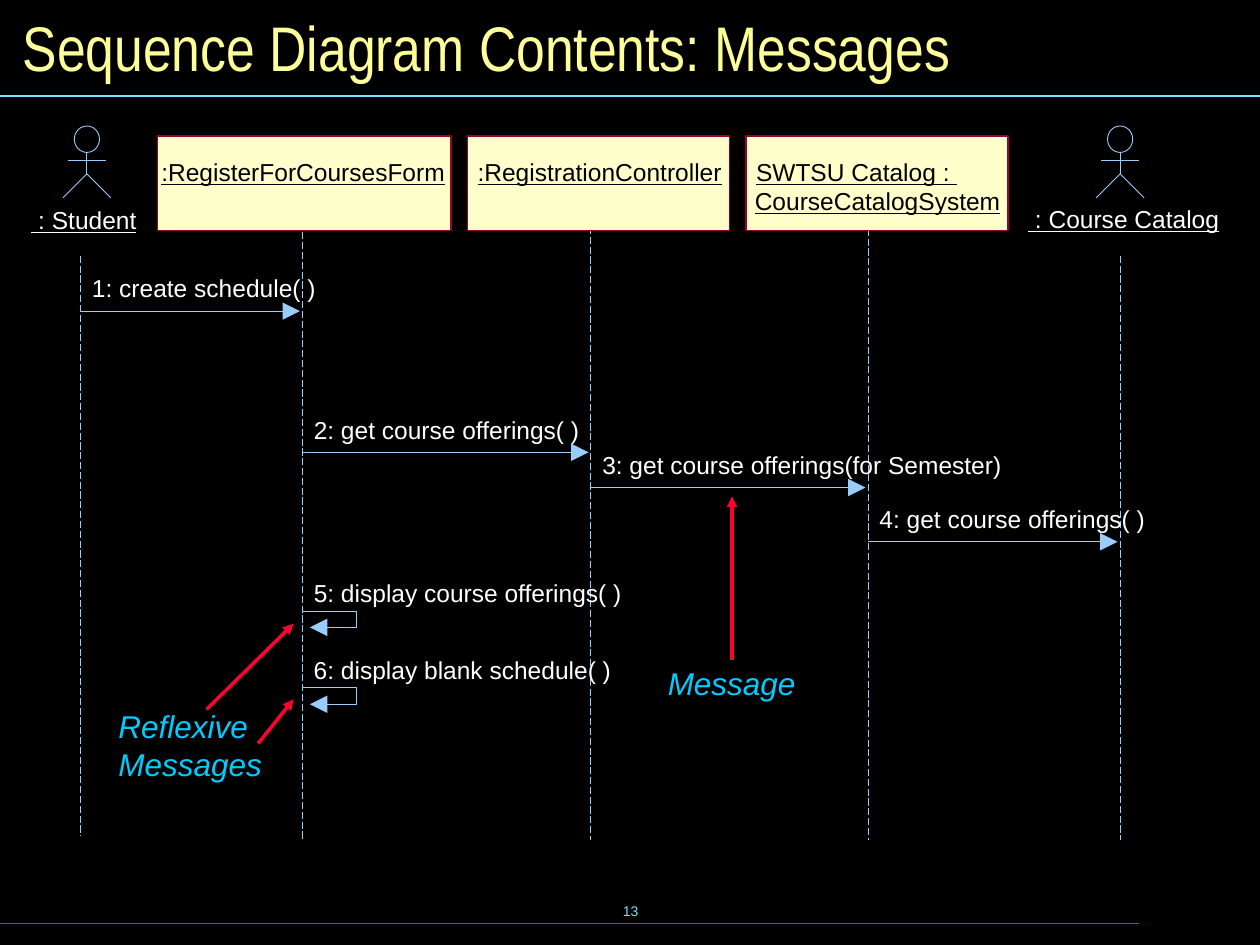
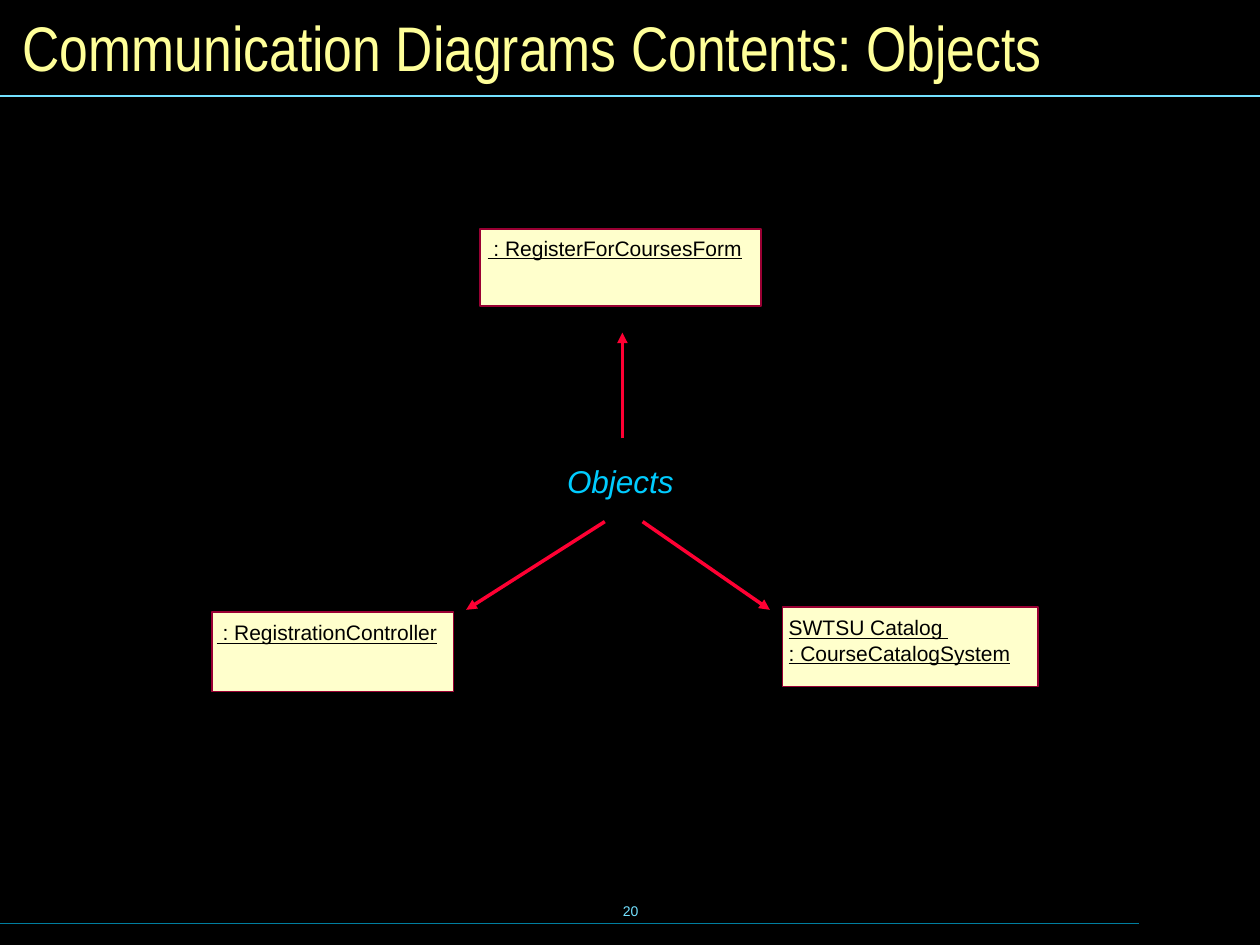
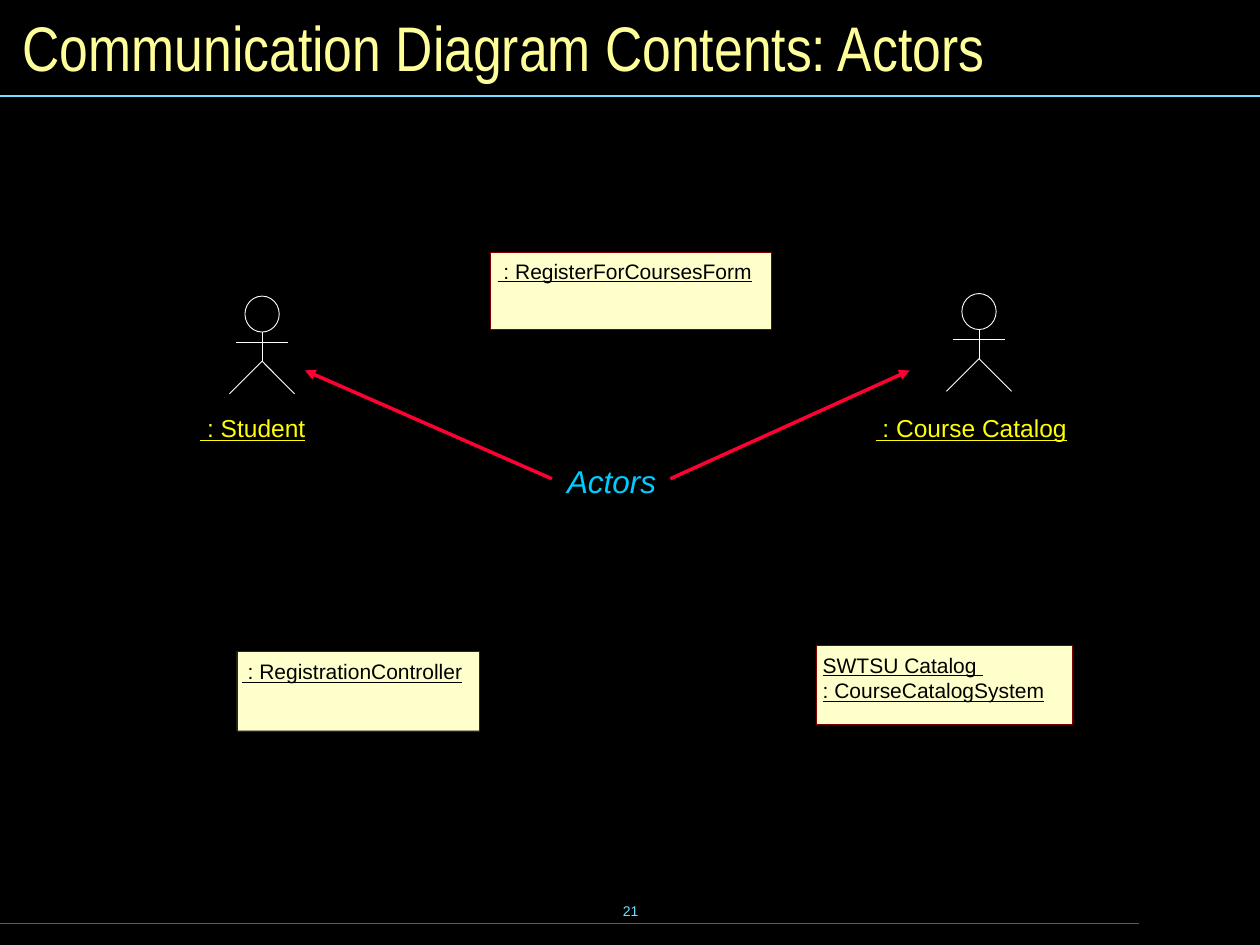
"""Build three UML slides: sequence messages, communication objects and actors."""
import pptx
import pptx.dml.color
import pptx.enum.dml
import pptx.enum.shapes
import pptx.enum.text
import pptx.oxml
import pptx.oxml.ns
import pptx.util

Inches = pptx.util.Inches
Pt = pptx.util.Pt
RGBColor = pptx.dml.color.RGBColor
Align = pptx.enum.text.PP_ALIGN
Anchor = pptx.enum.text.MSO_ANCHOR
Preset = pptx.enum.shapes.MSO_SHAPE
STRAIGHT = pptx.enum.shapes.MSO_CONNECTOR.STRAIGHT

BLACK = RGBColor(0x00, 0x00, 0x00)
WHITE = RGBColor(0xFF, 0xFF, 0xFF)
TITLE_YELLOW = RGBColor(0xFF, 0xFF, 0x99)
NAME_YELLOW = RGBColor(0xFF, 0xFF, 0x00)
RULE_CYAN = RGBColor(0x73, 0xE1, 0xFF)
RULE_TEAL = RGBColor(0x00, 0x7E, 0x9F)
DIAGRAM_BLUE = RGBColor(0x99, 0xCC, 0xFF)
CALLOUT_CYAN = RGBColor(0x00, 0xCC, 0xFF)
ARROW_RED = RGBColor(0xFF, 0x00, 0x33)
BOX_CREAM = RGBColor(0xFF, 0xFF, 0xCC)
BOX_CRIMSON = RGBColor(0x99, 0x00, 0x33)
BOX_MAROON = RGBColor(0x80, 0x00, 0x00)

LIFELINES = [(0.64, 2.03, 6.63), (2.4, 1.61, 6.67), (4.69, 1.49, 6.67),
             (6.89, 1.66, 6.67), (8.89, 2.03, 6.67)]
HEADERS = [(1.25, 2.33), (3.71, 2.08), (5.92, 2.08)]
HEADER_NAMES = [
    (":RegisterForCoursesForm", 1.28, 1.25, 2.25),
    (":RegistrationController", 3.79, 1.25, 1.94),
    ("SWTSU Catalog : ", 6, 1.25, 2.08),
    ("CourseCatalogSystem", 5.99, 1.48, 1.95),
]
MESSAGES = [
    ("1: create schedule( )", 0, 2.47, 1.78),
    ("2: get course offerings( )", 1, 3.59, 2.11),
    ("3: get course offerings(for Semester)", 2, 3.87, 3.18),
    ("4: get course offerings( )", 3, 4.3, 2.11),
]
REFLEXIVE_MESSAGES = [
    ("5: display course offerings( )", 4.85, 2.45),
    ("6: display blank schedule( )", 5.46, 2.36),
]
SEQUENCE_ACTORS = [(0.69, 1, 0.25, 1.63), (8.89, 1, 8.16, 1.62)]
SEQUENCE_CALLOUTS = [("Reflexive\nMessages", 0.82, 5.55, 1.38, 0.72),
                     ("Message", 5.18, 5.21, 1.25, 0.42)]
SEQUENCE_ARROWS = [(5.81, 5.24, 5.81, 3.94), (1.64, 5.63, 2.33, 4.95),
                   (2.05, 5.9, 2.33, 5.55)]

ACTOR_NAMES = [(" : Student", 0.84), (" : Course Catalog", 1.52)]
OBJECTS = [
    {"name": " : RegisterForCoursesForm", "size": (2.23, 0.61), "inset": (0.06, 0.05), "text": 2.02},
    {"name": " : RegistrationController", "size": (1.92, 0.63), "inset": (0.04, 0.06), "text": 1.75},
    {"name": "SWTSU Catalog \n: CourseCatalogSystem", "size": (2.03, 0.63), "inset": (0.05, 0.06), "text": 1.76},
]
COMMUNICATION_SLIDES = [
    {"title": "Communication Diagrams Contents: Objects", "number": "20",
     "objects": [(3.81, 1.82), (1.68, 4.86), (6.21, 4.82)], "outline": (BOX_CRIMSON, 1),
     "actors": [], "callout": ("Objects", 1.08),
     "arrows": [(4.8, 4.14, 3.7, 4.84), (4.94, 3.48, 4.94, 2.64), (5.1, 4.14, 6.11, 4.84)]},
    {"title": "Communication Diagram Contents: Actors", "number": "21",
     "objects": [(3.89, 2), (1.88, 5.17), (6.48, 5.12)], "outline": (BOX_MAROON, 0.1),
     "actors": [(2.08, 2.35, 1.59, 3.28), (7.77, 2.33, 6.95, 3.28)], "callout": ("Actors", 0.95),
     "arrows": [(4.38, 3.8, 2.42, 2.94), (5.32, 3.8, 7.22, 2.94)]},
]


def write_text(shape, text, size=14, color=WHITE, font="Arial", align=Align.LEFT,
               anchor=Anchor.TOP, margins=(0, 0), wrap=False, italic=None, underline=None):
    frame = shape.text_frame
    frame.text = text
    frame.word_wrap = wrap
    frame.auto_size = pptx.enum.text.MSO_AUTO_SIZE.NONE
    frame.vertical_anchor = anchor
    frame.margin_left = frame.margin_right = Inches(margins[0])
    frame.margin_top = frame.margin_bottom = Inches(margins[1])
    for para in frame.paragraphs:
        para.alignment = align
        for span in para.runs:
            span.font.name = font
            span.font.size = Pt(size)
            span.font.color.rgb = color
            span.font.italic = italic
            span.font.underline = underline


def add_label(page, text, left, top, width, height=0.23, **style):
    box = page.shapes.add_textbox(*map(Inches, (left, top, width, height)))
    write_text(box, text, **style)


def style_line(shape, color, width, arrow=None):
    shape.line.color.rgb = color
    shape.line.width = Pt(width)
    if arrow:
        tail = pptx.oxml.parse_xml(
            f'<a:tailEnd {pptx.oxml.ns.nsdecls("a")} type="triangle" w="{arrow}" len="{arrow}"/>')
        shape.line._get_or_add_ln().append(tail)


def add_line(shapes, x1, y1, x2, y2, color=DIAGRAM_BLUE, width=0.5, arrow=None, dashed=False):
    line = shapes.add_connector(STRAIGHT, *map(Inches, (x1, y1, x2, y2)))
    line.line.fill.solid()
    if dashed:
        line.line.dash_style = pptx.enum.dml.MSO_LINE.LONG_DASH
    style_line(line, color, width, arrow)
    line._element.spPr.append(pptx.oxml.parse_xml(f'<a:effectLst {pptx.oxml.ns.nsdecls("a")}/>'))


def add_red_arrows(page, arrows):
    for ends in arrows:
        add_line(page.shapes, *ends, color=ARROW_RED, width=2, arrow="med")


def add_object_box(page, left, top, width, height, outline=(BOX_CRIMSON, 1)):
    box = page.shapes.add_shape(Preset.RECTANGLE, *map(Inches, (left, top, width, height)))
    box.shadow.inherit = False
    box.fill.solid()
    box.fill.fore_color.rgb = BOX_CREAM
    style_line(box, *outline)


def add_actors(page, places, scale=1.0, line_color=DIAGRAM_BLUE, name_color=WHITE):
    for (center, top, name_left, name_top), (name, width) in zip(places, ACTOR_NAMES):
        figure = page.shapes.add_group_shape().shapes
        head = figure.add_shape(Preset.OVAL, Inches(center - 0.1 * scale), Inches(top),
                                Inches(0.2 * scale), Inches(0.21 * scale))
        head.shadow.inherit = False
        head.fill.background()
        style_line(head, line_color, 0.5)
        limbs = [(0, 0.21, 0, 0.38), (0, 0.38, 0.19, 0.57),
                 (0, 0.38, -0.19, 0.57), (-0.15, 0.27, 0.15, 0.27)]
        for x1, y1, x2, y2 in limbs:
            add_line(figure, center + x1 * scale, top + y1 * scale,
                     center + x2 * scale, top + y2 * scale, color=line_color)
        add_label(page, name, name_left, name_top, width, color=name_color, underline=True)


def add_callout(page, text, left, top, width, height=0.42):
    add_label(page, text, left, top, width, height, size=18, color=CALLOUT_CYAN,
              margins=(0.12, 0.06), italic=True)


def add_page(deck, title, number):
    page = deck.slides.add_slide(deck.slide_layouts[5])
    heading = page.shapes.title
    heading.left, heading.top, heading.width, heading.height = map(Inches, (0.08, 0.08, 9.84, 0.58))
    write_text(heading, title, size=36, color=TITLE_YELLOW, font="Arial Narrow",
               anchor=Anchor.MIDDLE, margins=(0.1, 0.05), wrap=True)
    add_label(page, number, 3.42, 6.98, 3.17, 0.5, size=8, color=RULE_CYAN,
              align=Align.CENTER, anchor=Anchor.MIDDLE, margins=(0.1, 0.05))
    add_line(page.shapes, 0, 7.33, 9.04, 7.33, color=RULE_TEAL, width=1)
    add_line(page.shapes, 0, 0.76, 10, 0.76, color=RULE_CYAN, width=1)
    return page


def add_reflexive_arrow(page, left, top):
    corners = [(left, top), (left + 0.43, top), (left + 0.43, top + 0.13), (left + 0.06, top + 0.13)]
    start, *rest = [(Inches(x), Inches(y)) for x, y in corners]
    outline = page.shapes.build_freeform(*start)
    outline.add_line_segments(rest, close=False)
    loop = outline.convert_to_shape()
    loop.shadow.inherit = False
    loop.fill.background()
    style_line(loop, DIAGRAM_BLUE, 0.5, "lg")


def build_sequence(deck):
    page = add_page(deck, "Sequence Diagram Contents: Messages", "13")
    for x, top, bottom in LIFELINES:
        add_line(page.shapes, x, top, x, bottom, dashed=True)
    for left, width in HEADERS:
        add_object_box(page, left, 1.08, width, 0.75)
    for name, left, top, width in HEADER_NAMES:
        add_label(page, name, left, top, width, color=BLACK, underline=True,
                  wrap=name.startswith("SWTSU"))
    add_actors(page, SEQUENCE_ACTORS)
    for text, sender, y, width in MESSAGES:
        start, end = LIFELINES[sender][0], LIFELINES[sender + 1][0]
        add_line(page.shapes, start, y, end - 0.02, y, arrow="lg")
        add_label(page, text, start + 0.09, y - 0.3, width)
    form_x = LIFELINES[1][0]
    for text, y, width in REFLEXIVE_MESSAGES:
        add_reflexive_arrow(page, form_x, y)
        add_label(page, text, form_x + 0.09, y - 0.26, width)
    add_red_arrows(page, SEQUENCE_ARROWS)
    for callout in SEQUENCE_CALLOUTS:
        add_callout(page, *callout)


def build_communication(deck, content):
    page = add_page(deck, content["title"], content["number"])
    for (left, top), item in zip(content["objects"], OBJECTS):
        add_object_box(page, left, top, *item["size"], outline=content["outline"])
        dx, dy = item["inset"]
        height = 0.2 * len(item["name"].split("\n"))
        add_label(page, item["name"], left + dx, top + dy, item["text"], height,
                  size=12, color=BLACK, underline=True)
    add_actors(page, content["actors"], scale=1.36, line_color=WHITE, name_color=NAME_YELLOW)
    text, width = content["callout"]
    add_callout(page, text, 4.38, 3.61, width)
    add_red_arrows(page, content["arrows"])


def main():
    deck = pptx.Presentation()
    deck.slide_width, deck.slide_height = Inches(10), Inches(7.5)
    backdrop = deck.slide_master.background.fill
    backdrop.solid()
    backdrop.fore_color.rgb = BLACK
    build_sequence(deck)
    for content in COMMUNICATION_SLIDES:
        build_communication(deck, content)
    deck.save("out.pptx")


if __name__ == "__main__":
    main()
